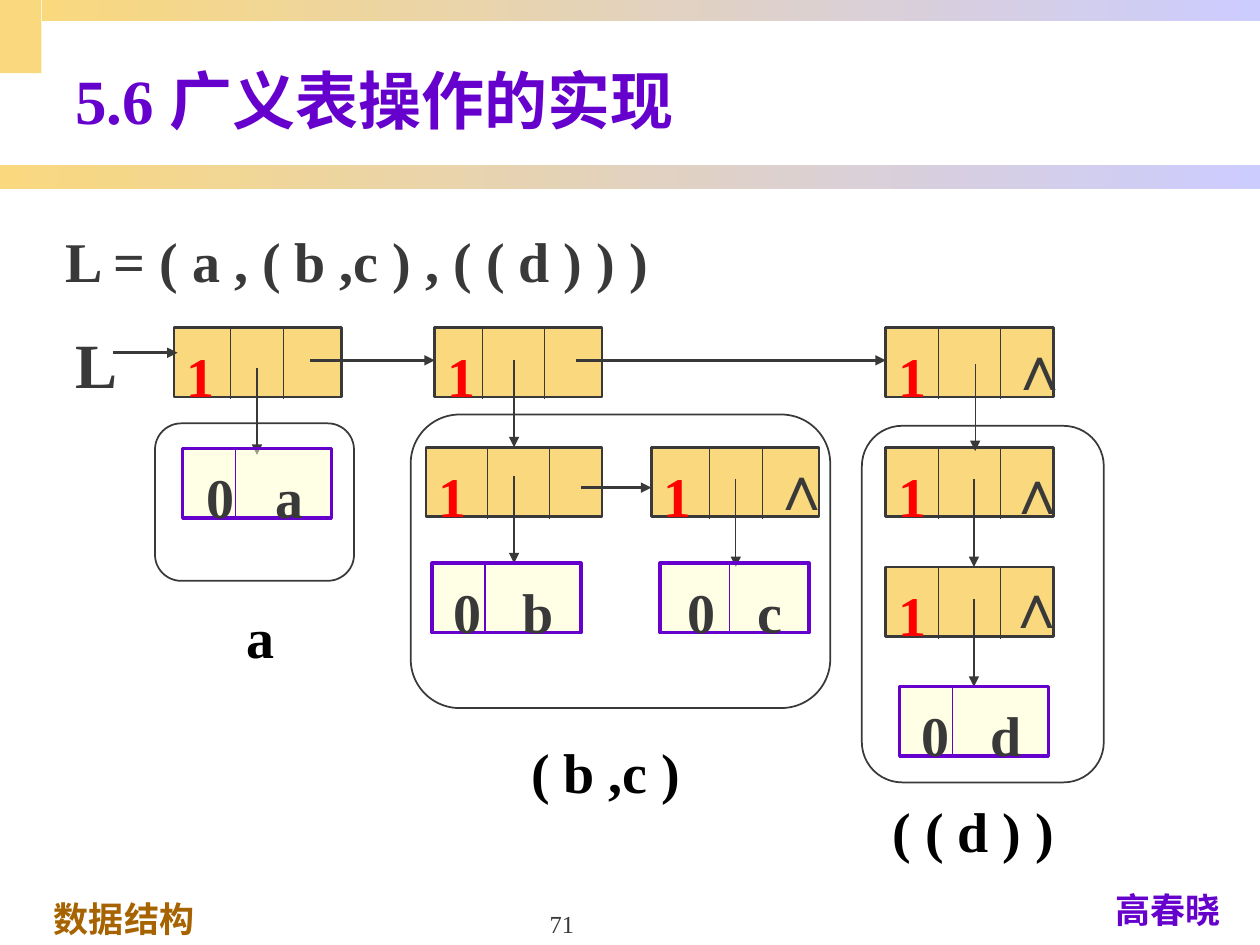
from lxml.etree import SubElement
from pptx import Presentation
from pptx.dml.color import RGBColor
from pptx.enum.shapes import MSO_CONNECTOR, MSO_SHAPE
from pptx.enum.text import MSO_ANCHOR, PP_ALIGN
from pptx.oxml.ns import qn
from pptx.util import Inches, Pt

FONT = "Times New Roman"
INK, PURPLE, GOLD, LILAC, CREAM = "393939", "6600CC", "F9D87E", "CCCCFF", "FFFFCC"
RED, BROWN, BLACK = "FF0000", "A66300", "000000"
LEFT, CENTER, RIGHT = PP_ALIGN.LEFT, PP_ALIGN.CENTER, PP_ALIGN.RIGHT
TOP_ROW, ROW_PITCH, BOX_HEIGHT, LEAF_WIDTH = 2.6, 0.95, 0.55, 1.18
TEXT_DROP = 0.11

# left, top, width, height, right-hand colour of the gradient
BANDS = [(0, 0, 0.33, 0.58, None), (0, 1.31, 10, 0.19, LILAC), (0.33, 0, 9.67, 0.17, LILAC)]
# text, (left, top, width, height), size, colour, bold, alignment, top inset, anchor
TEXTS = [
    ("数据结构", (0.33, 7.07, 3.5, 0.43), 20, BROWN, True, LEFT, 0.05, MSO_ANCHOR.TOP),
    ("高春晓", (8.62, 7, 1.3, 0.43), 20, PURPLE, True, CENTER, 0.05, MSO_ANCHOR.TOP),
    ("71", (3.42, 7, 2.08, 0.5), 14, INK, False, CENTER, 0.05, MSO_ANCHOR.BOTTOM),
    ("5.6 广义表操作的实现", (0.5, 0.25, 9.5, 1.07), 36, PURPLE, True, LEFT, 0.05, MSO_ANCHOR.MIDDLE),
    ("L = ( a , ( b ,c ) , ( ( d ) ) )", (0.42, 1.7, 8.99, 0.63), 32, INK, True, LEFT, 0.1, MSO_ANCHOR.TOP),
    ("( ( d ) )", (6.87, 6.21, 1.71, 0.63), 32, BLACK, True, CENTER, TEXT_DROP, MSO_ANCHOR.TOP),
    ("( b ,c )", (4.01, 5.68, 1.49, 0.77), 32, BLACK, True, RIGHT, 0.17, MSO_ANCHOR.TOP),
    ("a", (1.69, 4.61, 0.59, 0.77), 32, BLACK, True, RIGHT, 0.17, MSO_ANCHOR.TOP),
    ("L", (0.5, 2.47, 0.55, 0.7), 36, INK, True, LEFT, TEXT_DROP, MSO_ANCHOR.TOP),
]
SUBLISTS = [(3.26, 3.29, 3.33, 2.33), (1.23, 3.36, 1.58, 1.25), (6.84, 3.38, 1.92, 2.83)]
# left, row, width, two dividers, place of the nil mark
NODES = [
    (1.38, 0, 1.33, (1.83, 2.25), None),
    (3.45, 0, 1.33, (3.83, 4.32), None),
    (7.03, 0, 1.33, (7.45, 7.94), (7.91, 2.49)),
    (3.38, 1, 1.4, (3.87, 4.36), None),
    (5.17, 1, 1.33, (5.63, 6.05), (6.02, 3.44)),
    (7.03, 1, 1.33, (7.45, 7.94), (7.89, 3.47)),
    (7.03, 2, 1.33, (7.45, 7.94), (7.88, 4.38)),
]
# atom, left, top, divider, left inset
LEAVES = [("a", 1.45, 3.56, 1.87, 0.19), ("b", 3.43, 4.47, 3.85, 0.17),
          ("c", 5.24, 4.47, 5.79, 0.22), ("d", 7.14, 5.45, 7.56, 0.17)]
NEXT_LINKS = [(0.9, 1.41, 2.8), (2.46, 3.45, 2.86), (4.57, 7.03, 2.86), (4.61, 5.17, 3.87)]
DOWN_LINKS = [(2.04, 2.92, 3.61), (4.08, 2.86, 3.55), (7.74, 2.89, 3.58), (4.08, 3.78, 4.47),
              (5.84, 3.8, 4.5), (7.73, 3.8, 4.5), (7.73, 4.75, 5.45)]

deck = Presentation()
deck.slide_width, deck.slide_height = Inches(10), Inches(7.5)
page = deck.slides.add_slide(deck.slide_layouts[6])


def color(hex_code):
    return RGBColor.from_string(hex_code)


def add_box(place, fill=None, line=None, weight=1, kind=MSO_SHAPE.RECTANGLE):
    box = page.shapes.add_shape(kind, *map(Inches, place))
    box.shadow.inherit = False
    if fill:
        box.fill.solid()
        box.fill.fore_color.rgb = color(fill)
    else:
        box.fill.background()
    if line:
        box.line.color.rgb = color(line)
        box.line.width = Pt(weight)
    else:
        box.line.fill.background()
    return box


def write(box, text, size, ink, bold=True, align=LEFT, top=TEXT_DROP,
          anchor=MSO_ANCHOR.TOP, left=0.1, tab=None):
    frame = box.text_frame
    layout = {"word_wrap": True, "vertical_anchor": anchor, "margin_left": Inches(left),
              "margin_right": Inches(0.1), "margin_top": Inches(top), "margin_bottom": Inches(0.05)}
    for name, value in layout.items():
        setattr(frame, name, value)
    para = frame.paragraphs[0]
    para.alignment = align
    if tab:
        stops = SubElement(para._p.get_or_add_pPr(), qn("a:tabLst"))
        SubElement(stops, qn("a:tab"), pos=str(Inches(tab)), algn="l")
    span = para.add_run()
    span.text = text
    for name, value in {"name": FONT, "size": Pt(size), "bold": bold}.items():
        setattr(span.font, name, value)
    span.font.color.rgb = color(ink)


def add_text(place, *style):
    write(page.shapes.add_textbox(*map(Inches, place)), *style)


def add_line(x1, y1, x2, y2, weight=0.75, ink=INK, arrow=False):
    link = page.shapes.add_connector(MSO_CONNECTOR.STRAIGHT, *map(Inches, (x1, y1, x2, y2)))
    link.line.color.rgb = color(ink)
    link.line.width = Pt(weight)
    if arrow:
        SubElement(link.line._get_or_add_ln(), qn("a:tailEnd"), type="triangle")
    SubElement(link._element.spPr, qn("a:effectLst"))


for *place, end in BANDS:
    band = add_box(place, GOLD)
    if end:
        band.fill.gradient()
        band.fill.gradient_angle = 0
        for stop, shade, position in zip(band.fill.gradient_stops, (GOLD, end), (0, 1)):
            stop.color.rgb = color(shade)
            stop.position = position

for text, place, *style in TEXTS:
    add_text(place, text, *style)

for place in SUBLISTS:
    add_box(place, line=INK, kind=MSO_SHAPE.FLOWCHART_ALTERNATE_PROCESS)

for left, row, width, dividers, nil in NODES:
    top = TOP_ROW + row * ROW_PITCH
    write(add_box((left, top, width, BOX_HEIGHT), GOLD, INK, 1.5), "1", 32, RED)
    for x in dividers:
        add_line(x, top, x, top + 0.57)
    if nil:
        add_text((*nil, 0.7, 0.7), "∧", 36, INK, False)

for start, end, y in NEXT_LINKS:
    add_line(start, y, end, y, 1.75, arrow=True)
for x, start, end in DOWN_LINKS:
    add_line(x, start, x, end, arrow=True)

for atom, left, top, divider, inset in LEAVES:
    leaf = add_box((left, top, LEAF_WIDTH, BOX_HEIGHT), CREAM, PURPLE, 2)
    shade = leaf.fill._xPr.find(qn("a:solidFill"))[0]
    SubElement(shade, qn("a:alpha"), val="50000")
    write(leaf, f"0\t{atom}", 32, INK, left=inset, tab=0.55)
    add_line(divider, top, divider, top + BOX_HEIGHT, ink=PURPLE)

deck.save("out.pptx")
